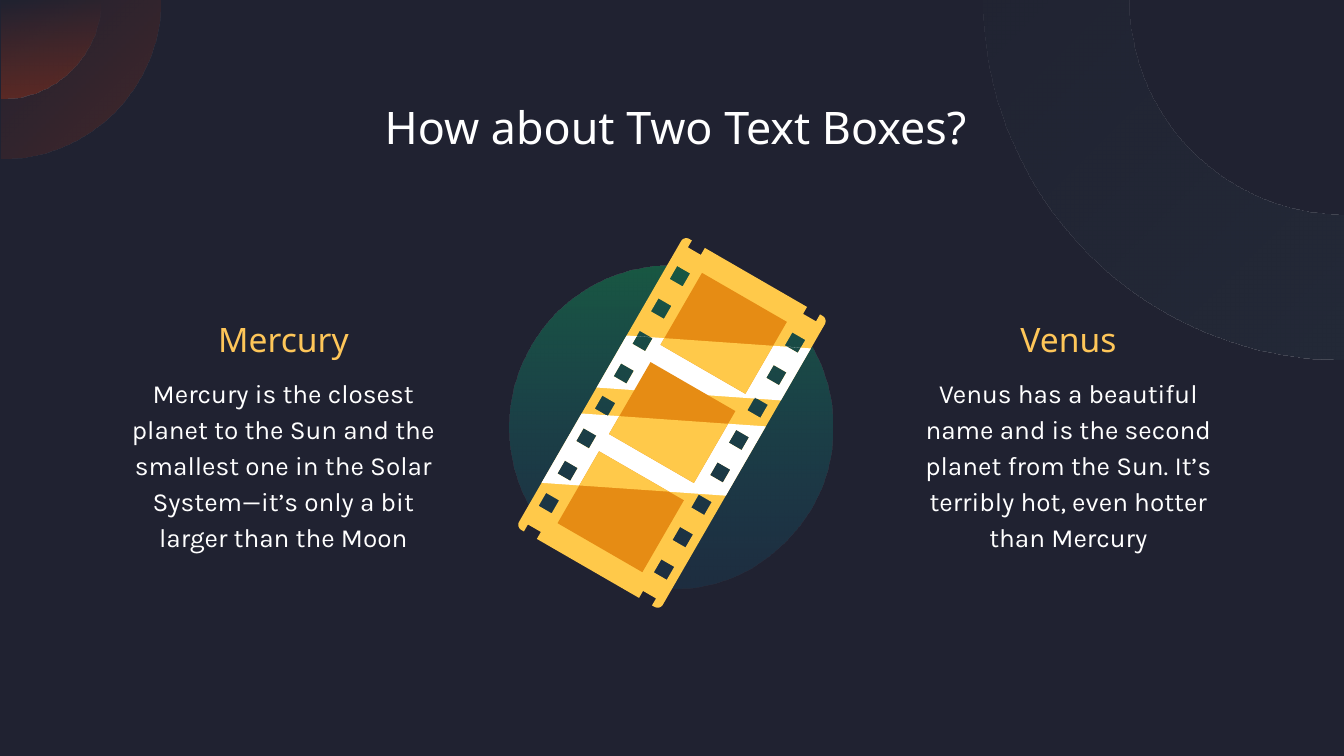
from math import cos, pi, radians, sin

from pptx import Presentation
from pptx.dml.color import RGBColor
from pptx.enum.shapes import MSO_SHAPE
from pptx.enum.text import MSO_ANCHOR, PP_ALIGN
from pptx.oxml.ns import qn
from pptx.util import Pt
from lxml.etree import SubElement

PX = 914400 / 134.4
COLORS = {
    "background": "202231", "white": "FFFFFF", "heading": "FEC659",
    "film": "FFC94A", "frame": "E68C14", "rust": "9C3218",
    "slate": "252C3A", "green": "0AC668", "blue": "0A94C6",
}
TITLE = {"size": Pt(24), "name": "Noto Sans", "color": "white"}
HEADING = {"size": Pt(18), "name": "Noto Sans", "color": "heading", "line_spacing": 1.15}
BODY = {"size": Pt(14), "name": "Karla", "color": "white", "line_spacing": 1.15}

# Film strip, measured from its centre before it is turned
PIVOT = (672, 423)
TILT = 30
HALF_WIDTH, HALF_HEIGHT, CORNER = 83, 168, 6
HOLE_IN, HOLE_OUT, NOTCH = 59, 74, 160
BAND_SLOPE = -81 / (2 * HALF_WIDTH)
BANDS = [(-53, 7), (37, 117)]  # top and bottom at the left edge
FRAME_TOPS = [-145, -42, 61]
FRAME_HALF_WIDTH, FRAME_HEIGHT = 49, 83


def emu(px):
    return round(px * PX)


def rgb(name):
    return RGBColor.from_string(COLORS[name])


def arc(x, y, radius, start, end, steps=48):
    """Points on a circle; angles in degrees, clockwise from the right."""
    angles = [radians(start + (end - start) * i / steps) for i in range(steps + 1)]
    return [(x + radius * cos(a), y + radius * sin(a)) for a in angles]


def rectangle(left, top, right, bottom):
    return [(left, top), (right, top), (right, bottom), (left, bottom)]


def clip(points, edge, side):
    """Keep the part below (side 1) or above (side -1) a band's edge."""
    def distance(point):
        return side * (point[1] - edge - BAND_SLOPE * (point[0] + HALF_WIDTH))

    kept = []
    for start, end in zip(points, points[1:] + points[:1]):
        d, e = distance(start), distance(end)
        if d >= 0:
            kept.append(start)
        if d * e < 0:
            kept.append(tuple(a + (b - a) * d / (d - e) for a, b in zip(start, end)))
    return kept


def clip_to_band(points, band):
    return clip(clip(points, band[0], 1), band[1], -1)


def set_plain(shape):
    shape.shadow.inherit = False
    shape.line.fill.background()


def set_gradient(shape, stops, angle):
    """Stops are (colour, opacity in percent); the angle runs clockwise."""
    fill = shape.fill
    fill.gradient()
    fill.gradient_angle = 360 - angle
    for stop, (name, _) in zip(fill.gradient_stops, stops):
        stop.color.rgb = rgb(name)
    for color, (_, opacity) in zip(shape._element.xpath(".//a:gs/a:srgbClr"), stops):
        SubElement(color, qn("a:alpha"), val=str(opacity * 1000))


def add_outline(page, contours):
    contours = [[(emu(x), emu(y)) for x, y in contour] for contour in contours]
    builder = page.shapes.build_freeform(*contours[0][0], scale=1.0)
    for index, contour in enumerate(contours):
        if index:
            builder.move_to(*contour[0])
        builder.add_line_segments(contour[1:], close=True)
    shape = builder.convert_to_shape()
    set_plain(shape)
    return shape


def add_film_part(page, contours, color):
    """Draw upright around the strip's centre, then turn about that centre."""
    shape = add_outline(page, contours)
    x, y = shape.left + shape.width / 2, shape.top + shape.height / 2
    c, s = cos(radians(TILT)), sin(radians(TILT))
    shape.left = round(emu(PIVOT[0]) + x * c - y * s - shape.width / 2)
    shape.top = round(emu(PIVOT[1]) + x * s + y * c - shape.height / 2)
    shape.rotation = TILT
    shape.fill.solid()
    shape.fill.fore_color.rgb = rgb(color)


def film_outline():
    x, y = HALF_WIDTH - CORNER, HALF_HEIGHT - CORNER
    quarter = [(HOLE_IN, -HALF_HEIGHT), (HOLE_IN, -NOTCH),
               (HOLE_OUT, -NOTCH), (HOLE_OUT, -HALF_HEIGHT)]
    quarter += arc(x, -y, CORNER, -90, 0, 8)
    right = quarter + [(a, -b) for a, b in reversed(quarter)]
    return right + [(-a, -b) for a, b in right]


def add_film(page):
    holes = []
    for i in range(8):
        middle = -131 + 262 * i / 7
        for left in (-HOLE_OUT, HOLE_IN):
            holes.append(rectangle(left, middle - 7.5, left + 15, middle + 7.5))
    add_film_part(page, [film_outline()] + holes, "film")

    strip = rectangle(-HALF_WIDTH, -HALF_HEIGHT, HALF_WIDTH, HALF_HEIGHT)
    for band in BANDS:
        cut_holes = [clip_to_band(hole, band) for hole in holes]
        contours = [clip_to_band(strip, band)] + [hole for hole in cut_holes if hole]
        add_film_part(page, contours, "white")

    for top, band in zip(FRAME_TOPS, (BANDS[0], BANDS[1], BANDS[1])):
        frame = rectangle(-FRAME_HALF_WIDTH, top, FRAME_HALF_WIDTH, top + FRAME_HEIGHT)
        add_film_part(page, [frame], "frame")
        add_film_part(page, [clip_to_band(frame, band)], "film")


def add_backdrop(page):
    for radius, opacity, angle in ((159, 30, 225), (99, 42, 270)):
        disc = add_outline(page, [[(1, 0)] + arc(1, 0, radius, 0, 90)])
        set_gradient(disc, [("rust", opacity), ("rust", 0)], angle)
    ring = add_outline(page, [arc(1344, 0, 360, 180, 90) + arc(1344, 0, 215, 90, 180)])
    set_gradient(ring, [("slate", 75), ("slate", 20)], 225)
    circle = page.shapes.add_shape(MSO_SHAPE.OVAL, *map(emu, (510, 266, 323, 323)))
    set_plain(circle)
    set_gradient(circle, [("green", 33), ("blue", 10)], 90)


def add_text(page, text, left, top, width, height, style):
    box = page.shapes.add_textbox(*map(emu, (left, top, width, height)))
    frame = box.text_frame
    margins = {f"margin_{side}": emu(13) for side in ("left", "top", "right", "bottom")}
    for name, value in {"word_wrap": True, "vertical_anchor": MSO_ANCHOR.TOP, **margins}.items():
        setattr(frame, name, value)
    para = frame.paragraphs[0]
    para.alignment = PP_ALIGN.CENTER
    para.line_spacing = style.get("line_spacing")
    span = para.add_run()
    span.text = text
    for name in ("size", "name"):
        setattr(span.font, name, style[name])
    span.font.color.rgb = rgb(style["color"])


def main():
    deck = Presentation()
    deck.slide_width, deck.slide_height = emu(1344), emu(756)
    page = deck.slides.add_slide(deck.slide_layouts[6])
    page.background.fill.solid()
    page.background.fill.fore_color.rgb = rgb("background")

    add_backdrop(page)
    add_text(page, "How about Two Text Boxes?", 106, 87, 1139, 85, TITLE)
    columns = [
        (106, "Mercury", "Mercury is the closest planet to the Sun and the smallest one "
                         "in the Solar System—it’s only a bit larger than the Moon"),
        (891, "Venus", "Venus has a beautiful name and is the second planet from the Sun. "
                       "It’s terribly hot, even hotter than Mercury"),
    ]
    for left, heading, body in columns:
        add_text(page, heading, left, 300, 355, 85, HEADING)
        add_text(page, body, left, 360, 355, 195, BODY)
    add_film(page)
    deck.save("out.pptx")


if __name__ == "__main__":
    main()
